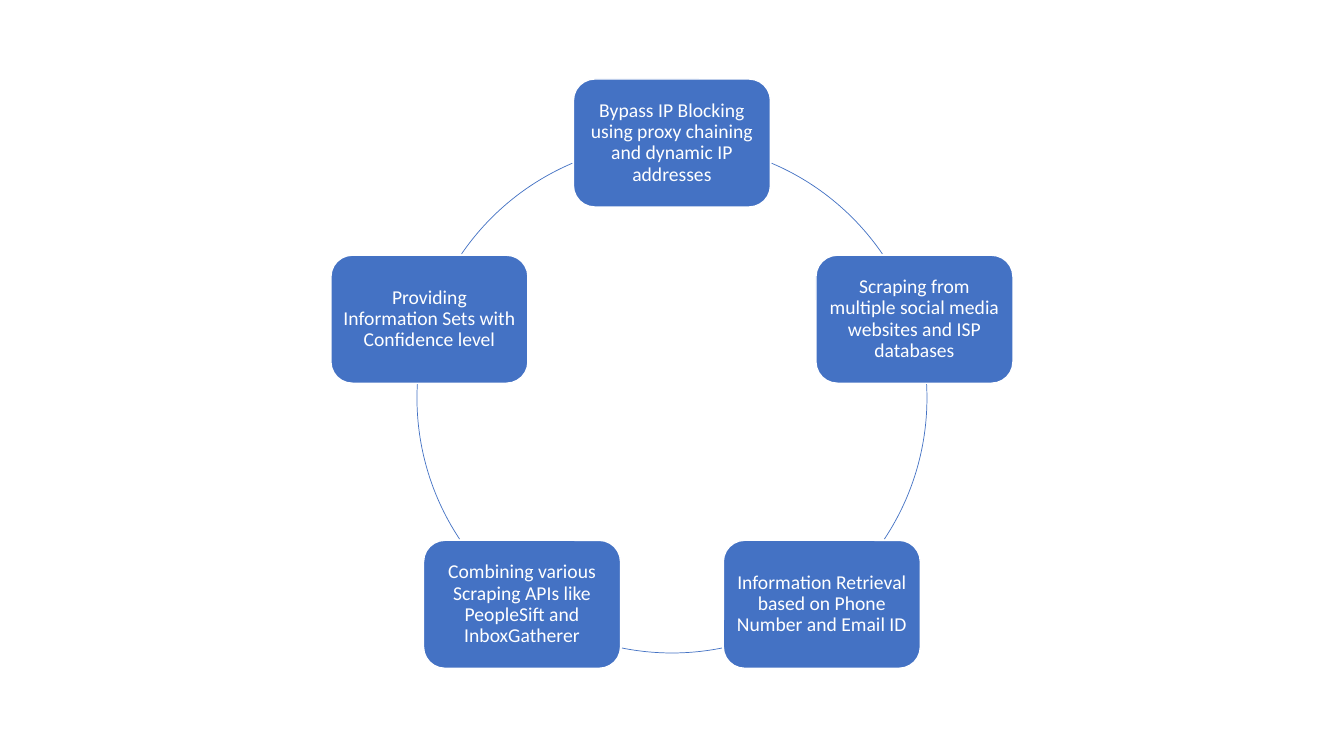
from dataclasses import dataclass
from itertools import count
from math import cos, radians, sin

from pptx import Presentation
from pptx.dml.color import RGBColor
from pptx.enum.shapes import MSO_SHAPE
from pptx.enum.text import MSO_ANCHOR, PP_ALIGN
from pptx.util import Pt

STEPS = [
    "Bypass IP Blocking using proxy chaining and dynamic IP addresses",
    "Scraping from multiple social media websites and ISP databases",
    "Information Retrieval based on Phone Number and Email ID",
    "Combining various Scraping APIs like PeopleSift and InboxGatherer",
    "Providing Information Sets with Confidence level",
]


@dataclass(frozen=True)
class Theme:
    blue: RGBColor = RGBColor(0x44, 0x72, 0xC4)
    white: RGBColor = RGBColor(0xFF, 0xFF, 0xFF)
    font: str = "Calibri"
    size: Pt = Pt(14)
    box_line: Pt = Pt(1)
    arc_line: Pt = Pt(0.5)


THEME = Theme()
EMU_PER_PX = 914400 / 100.8
SLIDE_W, SLIDE_H = 1344, 756
CENTER_X, CENTER_Y, RADIUS = 672, 398, 255
BOX_W, BOX_H = 197, 128
INSET = 6
ARC_GAP = 1
STEP_ANGLE = 360 / len(STEPS)
TOP_ANGLE = 270


def px(n):
    return round(n * EMU_PER_PX)


def on_ring(angle):
    a = radians(angle)
    return CENTER_X + RADIUS * cos(a), CENTER_Y + RADIUS * sin(a)


def leave_box(angle, direction):
    """Angle at which the ring, followed from a box centre, clears that box."""
    cx, cy = on_ring(angle)
    for i in count():
        turned = angle + direction * i / 10
        x, y = on_ring(turned)
        if abs(x - cx) > BOX_W / 2 + ARC_GAP or abs(y - cy) > BOX_H / 2 + ARC_GAP:
            return turned


def add_shape(slide, kind, cx, cy, w, h):
    sp = slide.shapes.add_shape(kind, px(cx - w / 2), px(cy - h / 2), px(w), px(h))
    sp.shadow.inherit = False
    return sp


def add_box(slide, angle, text):
    sp = add_shape(slide, MSO_SHAPE.ROUNDED_RECTANGLE, *on_ring(angle), BOX_W, BOX_H)
    sp.fill.solid()
    sp.fill.fore_color.rgb = THEME.blue
    sp.line.color.rgb = THEME.white
    sp.line.width = THEME.box_line
    tf = sp.text_frame
    tf.word_wrap = True
    tf.vertical_anchor = MSO_ANCHOR.MIDDLE
    tf.margin_left = tf.margin_right = tf.margin_top = tf.margin_bottom = px(INSET)
    p = tf.paragraphs[0]
    p.alignment = PP_ALIGN.CENTER
    p.line_spacing = 0.9
    r = p.add_run()
    r.text = text
    r.font.name = THEME.font
    r.font.size = THEME.size
    r.font.color.rgb = THEME.white


def add_arc(slide, start, end):
    sp = add_shape(slide, MSO_SHAPE.ARC, CENTER_X, CENTER_Y, 2 * RADIUS, 2 * RADIUS)
    # Adjustments count 100000 units; arc angles count 60000 units per degree.
    for i, angle in enumerate((start, end)):
        sp.adjustments[i] = angle % 360 * 0.6
    sp.fill.background()
    sp.line.color.rgb = THEME.blue
    sp.line.width = THEME.arc_line


def main():
    prs = Presentation()
    prs.slide_width, prs.slide_height = px(SLIDE_W), px(SLIDE_H)
    slide = prs.slides.add_slide(prs.slide_layouts[6])
    for i, text in enumerate(STEPS):
        angle = TOP_ANGLE + i * STEP_ANGLE
        add_box(slide, angle, text)
        add_arc(slide, leave_box(angle, 1), leave_box(angle + STEP_ANGLE, -1))
    prs.save("out.pptx")


if __name__ == "__main__":
    main()
